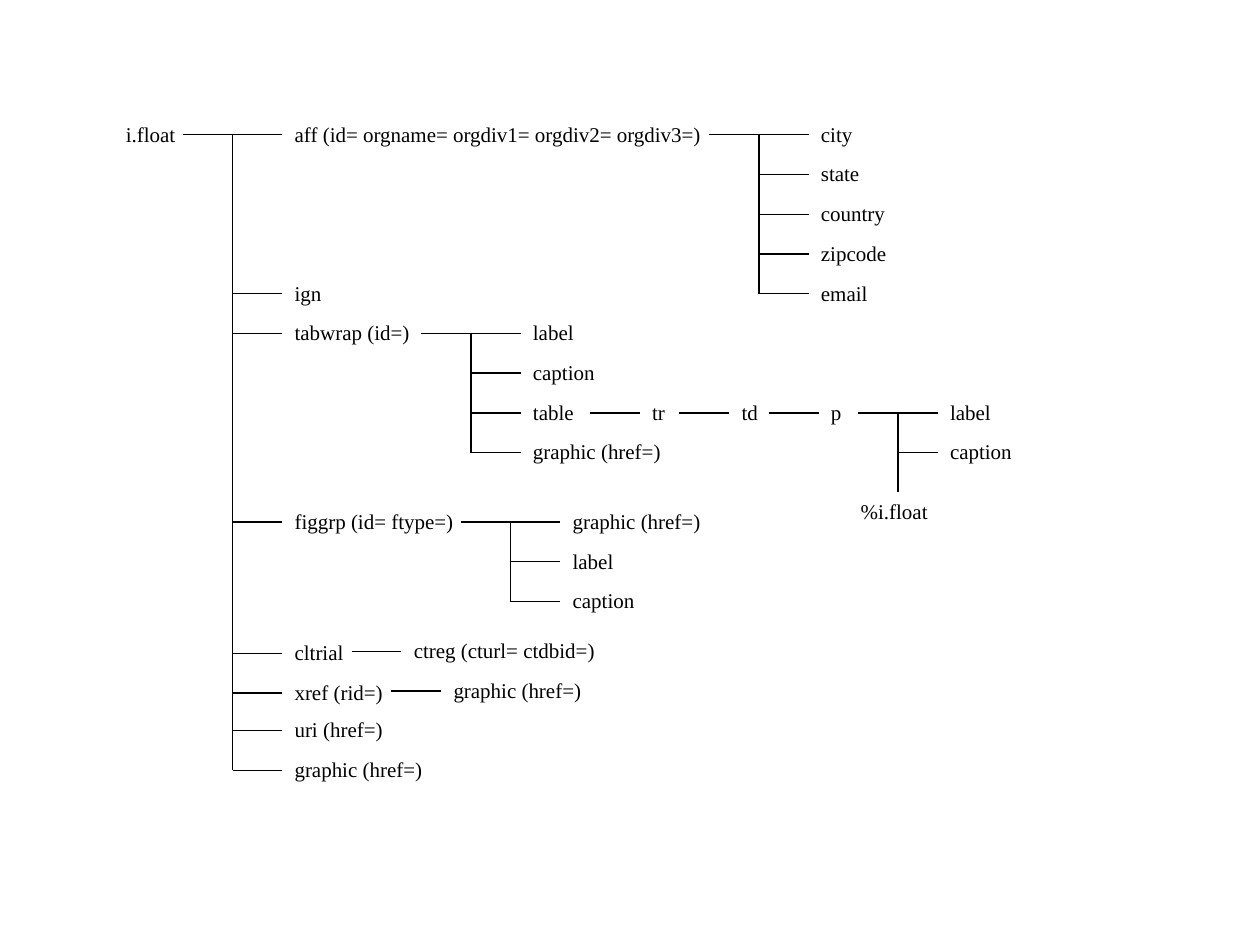
from lxml import etree
from pptx import Presentation
from pptx.dml.color import RGBColor
from pptx.enum.shapes import MSO_CONNECTOR
from pptx.enum.text import MSO_AUTO_SIZE
from pptx.oxml.ns import qn
from pptx.util import Inches, Pt

STRAIGHT = MSO_CONNECTOR.STRAIGHT
FIT_SHAPE = MSO_AUTO_SIZE.SHAPE_TO_FIT_TEXT
COLORS = {"text": "000000", "line": "000000"}
FONT = "Times New Roman"

# Grid: one unit is the row pitch; column 0, row 0 is the root element
UNIT = Pt(22.7)
LEFT, TOP = Inches(0.9), Inches(1.07)

# Element labels: text, column, row, width in units
LABELS = [
    ("i.float", 0, 0, 2),
    # children of i.float
    ("aff (id= orgname= orgdiv1= orgdiv2= orgdiv3=)", 4.25, 0, 11),
    ("ign", 4.25, 4, 2),
    ("tabwrap (id=)", 4.25, 5, 3.75),
    ("figgrp (id= ftype=)", 4.25, 9.75, 4.75),
    ("cltrial", 4.25, 13.05, 2),
    ("xref (rid=)", 4.25, 14.05, 3),
    ("uri (href=)", 4.25, 15, 3),
    ("graphic (href=)", 4.25, 16, 5.5),
    # children of aff
    ("city", 17.5, 0, 2),
    ("state", 17.5, 1, 2),
    ("country", 17.5, 2, 2.5),
    ("zipcode", 17.5, 3, 3),
    ("email", 17.5, 4, 2),
    # children of tabwrap
    ("label", 10.25, 5, 2),
    ("caption", 10.25, 6, 2.5),
    ("table", 10.25, 7, 1.75),
    ("graphic (href=)", 10.25, 8, 4),
    # table content
    ("tr", 13.25, 7, 1),
    ("td", 15.5, 7, 1.5),
    ("p", 17.75, 7, 1),
    ("label", 20.75, 7, 2.25),
    ("caption", 20.75, 8, 2.25),
    ("%i.float", 18.5, 9.5, 2.5),
    # children of figgrp
    ("graphic (href=)", 11.25, 9.75, 4),
    ("label", 11.25, 10.75, 2),
    ("caption", 11.25, 11.75, 2.5),
    # children of cltrial and xref
    ("ctreg (cturl= ctdbid=)", 7.25, 13, 5.5),
    ("graphic (href=)", 8.25, 14, 5.5),
]

# Branches: stem start, spine column, child column, child rows, spine end row
BRANCHES = [
    (1.75, 3, 4.25, [0, 4, 5, 9.75, 13.05, 14.05, 15, 16], 16),
    (15, 16.25, 17.5, [0, 1, 2, 3, 4], 4),
    (7.75, 9, 10.25, [5, 6, 7, 8], 8),
    (18.75, 19.75, 20.75, [7, 8], 9),
    (8.75, 10, 11.25, [9.75, 10.75, 11.75], 11.75),
]

# Single links: child column, row
LINKS = [(13.25, 7), (15.5, 7), (17.75, 7), (7.25, 13), (8.25, 14)]
LINK_LENGTH = 1.25


def x(column):
    return int(LEFT + column * UNIT)


def y(row):
    return int(TOP + row * UNIT)


def add_label(slide, text, column, row, width):
    box = slide.shapes.add_textbox(x(column), y(row - 0.5),
                                   int(width * UNIT), Inches(0.3))
    tf = box.text_frame
    tf.word_wrap = True
    tf.auto_size = FIT_SHAPE
    tf.text = text
    font = tf.paragraphs[0].runs[0].font
    font.name = FONT
    font.size = Pt(12)
    font.color.rgb = RGBColor.from_string(COLORS["text"])


def add_line(slide, column1, row1, column2, row2):
    line = slide.shapes.add_connector(STRAIGHT, x(column1), y(row1),
                                      x(column2), y(row2))
    line.line.color.rgb = RGBColor.from_string(COLORS["line"])
    line.line.width = Pt(0.75)
    etree.SubElement(line._element.spPr, qn("a:effectLst"))


def add_branch(slide, start, spine, column, rows, end_row):
    first, *others = rows
    add_line(slide, start, first, column, first)
    add_line(slide, spine, first, spine, end_row)
    for row in others:
        add_line(slide, spine, row, column, row)


def main():
    prs = Presentation()
    prs.slide_width, prs.slide_height = Inches(10), Inches(7.5)
    slide = prs.slides.add_slide(prs.slide_layouts[6])

    # Tree lines
    for branch in BRANCHES:
        add_branch(slide, *branch)
    for column, row in LINKS:
        add_line(slide, column - LINK_LENGTH, row, column, row)

    # Element names
    for label in LABELS:
        add_label(slide, *label)

    prs.save("out.pptx")


if __name__ == "__main__":
    main()
